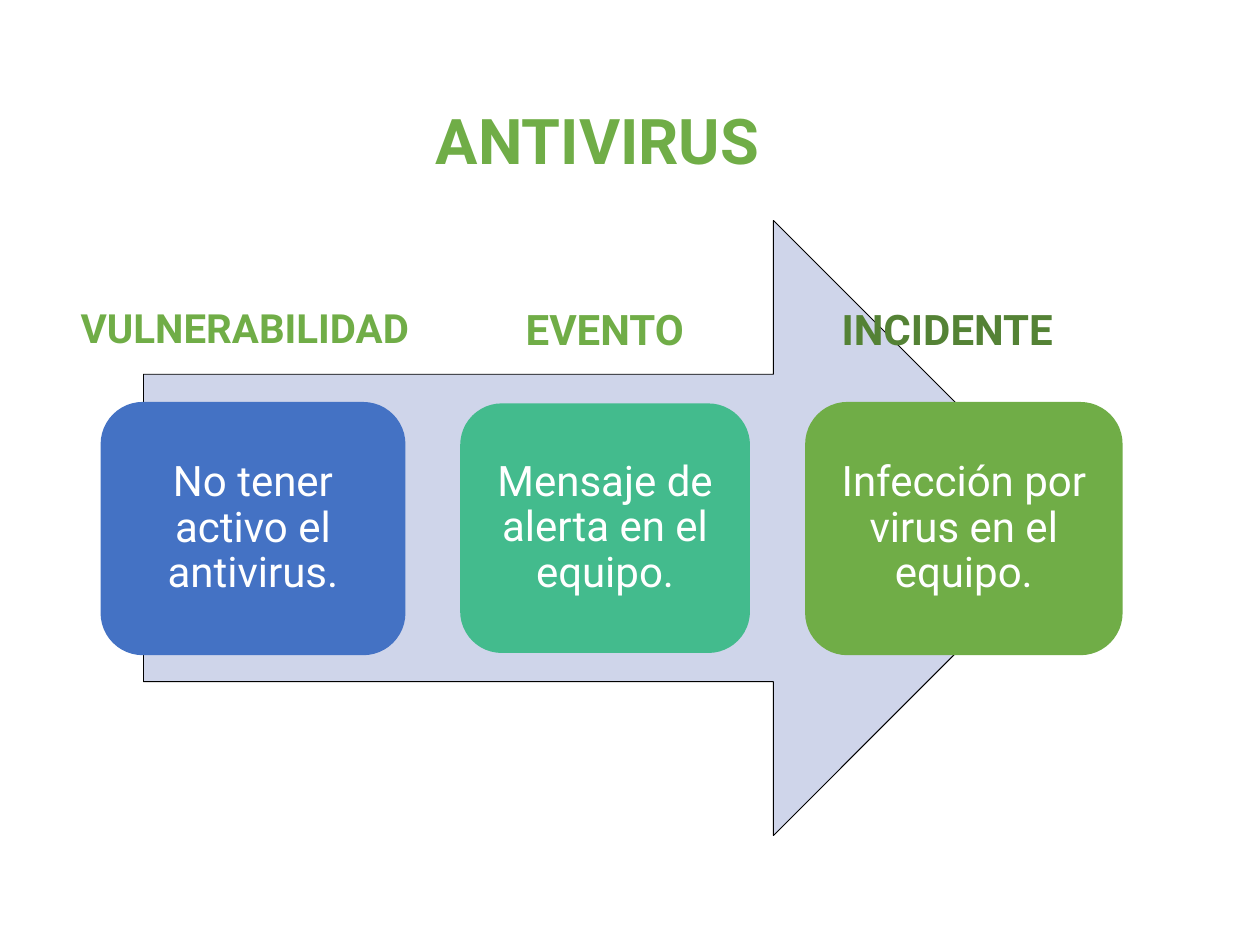
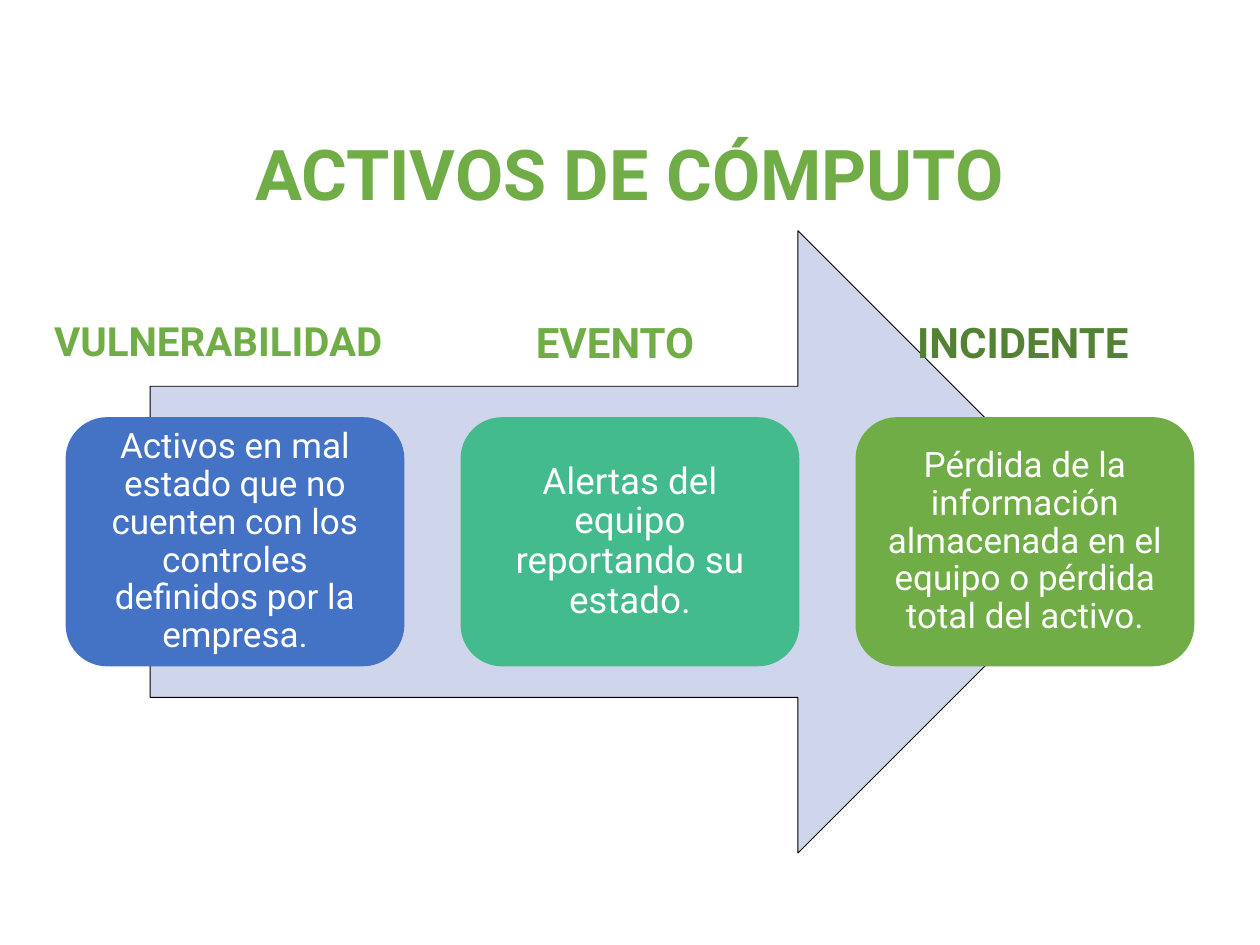
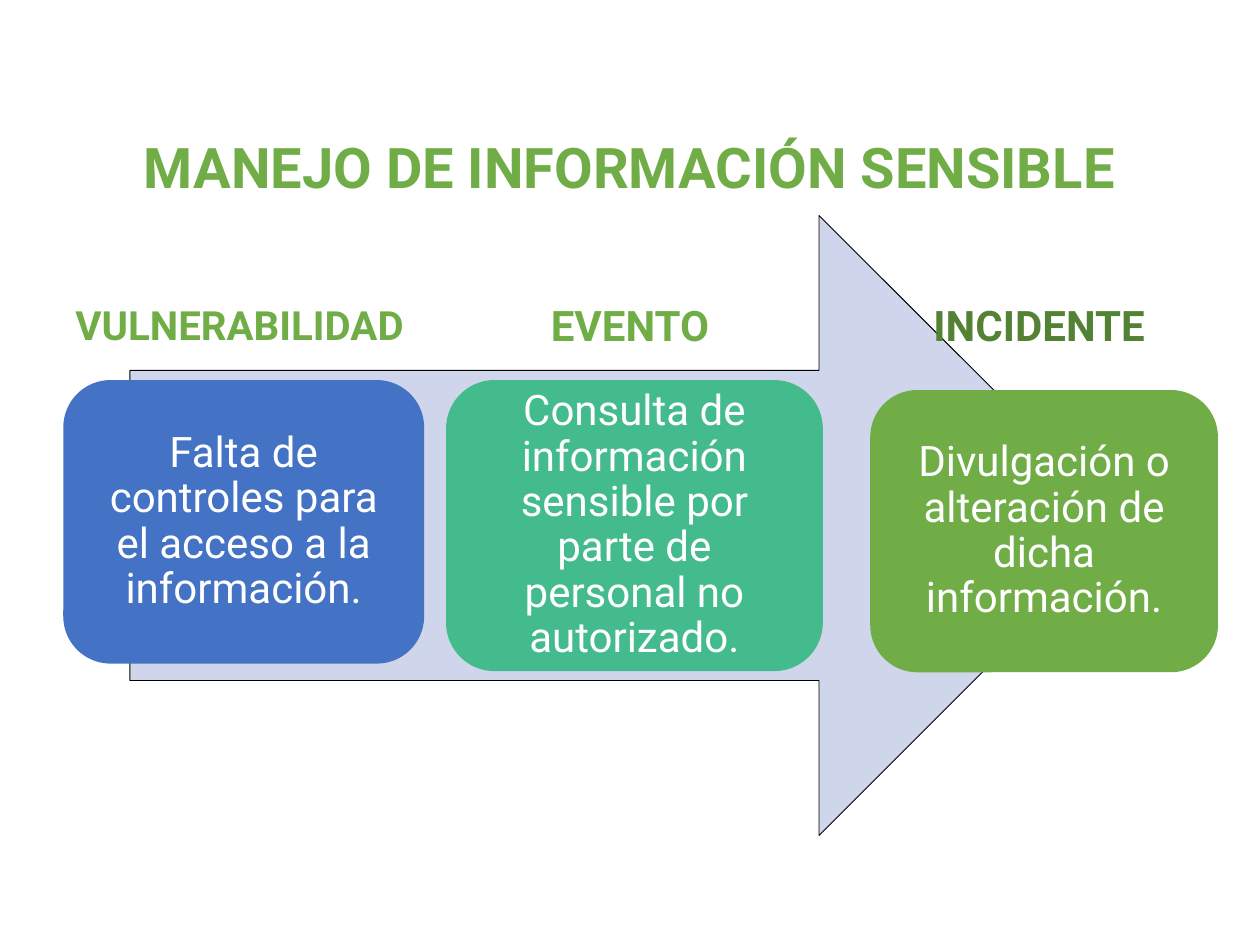
"""Build three slides that lead from vulnerability to event to incident."""
from pptx import Presentation
from pptx.dml.color import RGBColor
from pptx.enum.shapes import MSO_SHAPE
from pptx.enum.text import MSO_ANCHOR, MSO_AUTO_SIZE, PP_ALIGN
from pptx.util import Pt

ARROW, CARD = MSO_SHAPE.RIGHT_ARROW, MSO_SHAPE.ROUNDED_RECTANGLE
LEFT, CENTER = PP_ALIGN.LEFT, PP_ALIGN.CENTER
MIDDLE, GROW = MSO_ANCHOR.MIDDLE, MSO_AUTO_SIZE.SHAPE_TO_FIT_TEXT

FONT = "Roboto"
COLORS = {"arrow": "CFD5EA", "edge": "000000", "text": "FFFFFF",
          "blue": "4472C4", "teal": "43BB8D", "green": "70AD47", "dark": "548235"}
FILLS = ("blue", "teal", "green")
LABELS = (
    ("VULNERABILIDAD", 23, "green", LEFT, 240),
    ("EVENTO", 24, "green", CENTER, 134),
    ("INCIDENTE", 24, "dark", LEFT, 151),
)
SLIDES = [
    {"title": ("ANTIVIRUS", 36, LEFT, (242, 54.7, 236, 51)),
     "arrow": (82, 126, 535.7, 351.4),
     "labels": (170, (39, 278.6, 473.8)),
     "cards": [
         (["No tener activo el antivirus."], 24, (57.5, 229.7, 174.2, 144.7)),
         (["Mensaje de alerta en el equipo."], 24, (263, 230.5, 165.6, 142.6)),
         (["Infección por virus en el equipo."], 24, (460.1, 229.7, 181.4, 144.7))]},
    {"title": ("ACTIVOS DE CÓMPUTO", 40, CENTER, (59, 71.3, 601.2, 55.4)),
     "arrow": (85.8, 131.8, 548, 355.6),
     "labels": (177.1, (23.8, 284.4, 517)),
     "cards": [
         (["Activos en mal estado que no cuenten con los controles definidos "
           "por la empresa", "."], 20, (37.5, 238.4, 193.6, 142.4)),
         (["Alertas del equipo reportando su estado."], 21,
          (263.2, 238.4, 193.6, 142.4)),
         (["Pérdida de la información almacenada en el equipo o pérdida total "
           "del activo."], 20, (488.9, 238.4, 193.6, 142.4))]},
    {"title": ("MANEJO DE INFORMACIÓN SENSIBLE", 32, CENTER, (55.4, 72, 609.1, 46)),
     "arrow": (74.2, 123.1, 571, 354.3),
     "labels": (167.8, (36, 293, 526.3)),
     "cards": [
         (["Falta de controles para el acceso a la información."], 24,
          (36.2, 217.2, 206.2, 162)),
         (["Consulta de información sensible por parte de personal no "
           "autorizado."], 24, (254.9, 217.2, 215.3, 166.3)),
         (["Divulgación o alteración de dicha información."], 24,
          (497.3, 222.9, 198.7, 161.3))]},
]


def rgb(name):
    return RGBColor.from_string(COLORS[name])


def write(frame, parts, size, color, align, bold=False):
    frame.word_wrap = True
    para = frame.paragraphs[0]
    para.alignment = align
    font = para.font
    font.name, font.size, font.bold = FONT, Pt(size), bold
    font.color.rgb = rgb(color)
    for part in parts:
        run = para.add_run()
        run.text = part
        if part == ".":
            run.font.size = Pt(size - 1)
    return para


def add_label(slide, text, size, color, align, box):
    frame = slide.shapes.add_textbox(*map(Pt, box)).text_frame
    write(frame, [text], size, color, align, True)
    frame.auto_size = GROW


def add_solid(group, kind, box, fill):
    shape = group.shapes.add_shape(kind, *map(Pt, box))
    shape.shadow.inherit = False
    shape.fill.solid()
    shape.fill.fore_color.rgb = rgb(fill)
    shape.line.fill.background()
    return shape


def add_card(group, parts, size, box, fill):
    frame = add_solid(group, CARD, box, fill).text_frame
    frame.vertical_anchor = MIDDLE
    inset = Pt(0.3 * size)
    frame.margin_left = frame.margin_right = inset
    frame.margin_top = frame.margin_bottom = inset
    write(frame, parts, size, "text", CENTER).line_spacing = 0.9


def add_flow(deck, data):
    slide = deck.slides.add_slide(deck.slide_layouts[6])
    group = slide.shapes.add_group_shape()
    arrow = add_solid(group, ARROW, data["arrow"], "arrow")
    arrow.line.color.rgb = rgb("edge")
    arrow.line.width = Pt(0.5)
    for (parts, size, box), fill in zip(data["cards"], FILLS):
        add_card(group, parts, size, box, fill)
    top, lefts = data["labels"]
    for (text, size, color, align, width), left in zip(LABELS, lefts):
        add_label(slide, text, size, color, align, (left, top, width, 36))
    text, size, align, box = data["title"]
    add_label(slide, text, size, "green", align, box)


def main():
    deck = Presentation()
    deck.slide_width, deck.slide_height = Pt(720), Pt(540)
    for data in SLIDES:
        add_flow(deck, data)
    deck.save("out.pptx")


if __name__ == "__main__":
    main()
